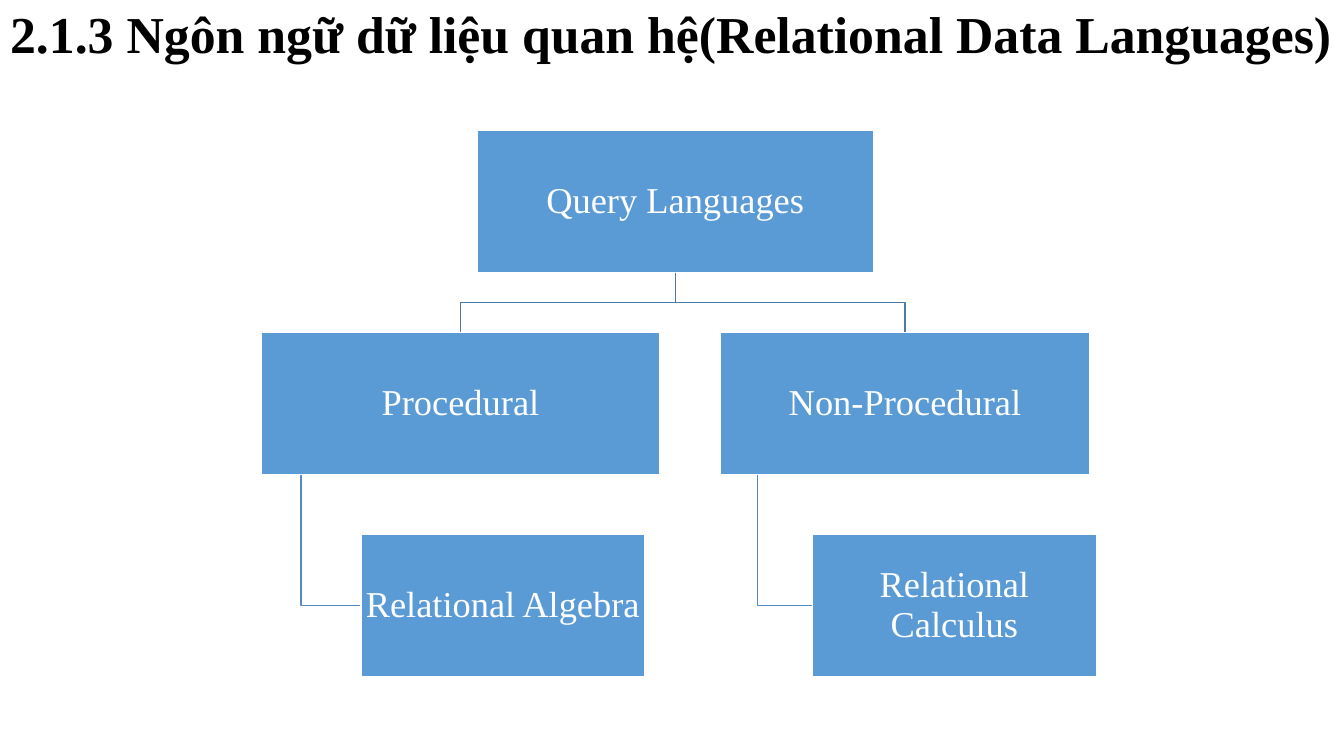
"""Build a slide with a tree of relational query languages."""
import pptx
import pptx.util
import pptx.dml.color
import pptx.enum.shapes
import pptx.enum.text

Pt = pptx.util.Pt
Align = pptx.enum.text.PP_ALIGN
Anchor = pptx.enum.text.MSO_ANCHOR

TITLE = "2.1.3 Ngôn ngữ dữ liệu quan hệ(Relational Data Languages)"
NODES = {
    "root": ("Query Languages", 0, 340.6, 283.7),
    "proc": ("Procedural", 1, 186.5, 285),
    "algebra": ("Relational Algebra", 2, 257.8, 203),
    "non": ("Non-Procedural", 1, 514.8, 263.5),
    "calculus": ("Relational Calculus", 2, 580.3, 203),
}
FORKS = [("root", "non"), ("root", "proc")]
HANGS = [("non", "calculus"), ("proc", "algebra")]
THEME = {
    "font": "Times New Roman", "title": 37, "label": 26,
    "black": "000000", "white": "FFFFFF", "box": "5B9BD5",
    "fork": "497CAB", "hang": "538DC1",
}
WIDE, HIGH = 960, 540
TOP, STEP, TALL = 93, 144.4, 101.5
INSET = 1.44


def color(name):
    return pptx.dml.color.RGBColor.from_string(THEME[name])


def place(key):
    _, level, left, width = NODES[key]
    return left, TOP + level * STEP, width


def write(shape, text, size, ink, align, anchor, bold=False):
    frame = shape.text_frame
    frame.text = text
    frame.word_wrap = True
    frame.auto_size = pptx.enum.text.MSO_AUTO_SIZE.NONE
    frame.vertical_anchor = anchor
    para = frame.paragraphs[0]
    para.alignment = align
    para.line_spacing = 0.9
    font = para.runs[0].font
    font.name, font.size, font.bold = THEME["font"], Pt(THEME[size]), bold
    font.color.rgb = color(ink)
    return frame


def draw_line(slide, points, ink):
    start, *rest = [(Pt(x), Pt(y)) for x, y in points]
    path = slide.shapes.build_freeform(*start)
    path.add_line_segments(rest, close=False)
    shape = path.convert_to_shape()
    shape.shadow.inherit = False
    shape.fill.background()
    shape.line.color.rgb = color(ink)
    shape.line.width = Pt(1)


def draw_fork(slide, parent, child):
    left, top, width = place(parent)
    end, low, span = place(child)
    x, y = left + width / 2, top + TALL
    turn, mid = end + span / 2, (y + low) / 2
    draw_line(slide, [(x, y), (x, mid), (turn, mid), (turn, low)], "fork")


def draw_hang(slide, parent, child):
    left, top, width = place(parent)
    end, low, _ = place(child)
    x, y = left + width / 10, low + TALL / 2
    draw_line(slide, [(x, top + TALL), (x, y), (end, y)], "hang")


def draw_box(slide, key):
    left, top, width = place(key)
    box = slide.shapes.add_shape(
        pptx.enum.shapes.MSO_SHAPE.RECTANGLE,
        Pt(left), Pt(top), Pt(width), Pt(TALL))
    box.shadow.inherit = False
    box.fill.solid()
    box.fill.fore_color.rgb = color("box")
    box.line.color.rgb = color("white")
    box.line.width = Pt(1)
    frame = write(box, NODES[key][0], "label", "white",
                  Align.CENTER, Anchor.MIDDLE)
    frame.margin_left = frame.margin_right = Pt(INSET)
    frame.margin_top = frame.margin_bottom = Pt(INSET)


def main():
    deck = pptx.Presentation()
    deck.slide_width, deck.slide_height = Pt(WIDE), Pt(HIGH)
    slide = deck.slides.add_slide(deck.slide_layouts[5])
    title = slide.shapes.title
    title.left, title.top = Pt(0), Pt(0)
    title.width, title.height = Pt(WIDE), Pt(49.7)
    frame = write(title, TITLE, "title", "black",
                  Align.LEFT, Anchor.BOTTOM, True)
    frame.margin_right = Pt(0)
    for pair in HANGS:
        draw_hang(slide, *pair)
    for pair in FORKS:
        draw_fork(slide, *pair)
    for key in NODES:
        draw_box(slide, key)
    deck.save("out.pptx")


if __name__ == "__main__":
    main()
